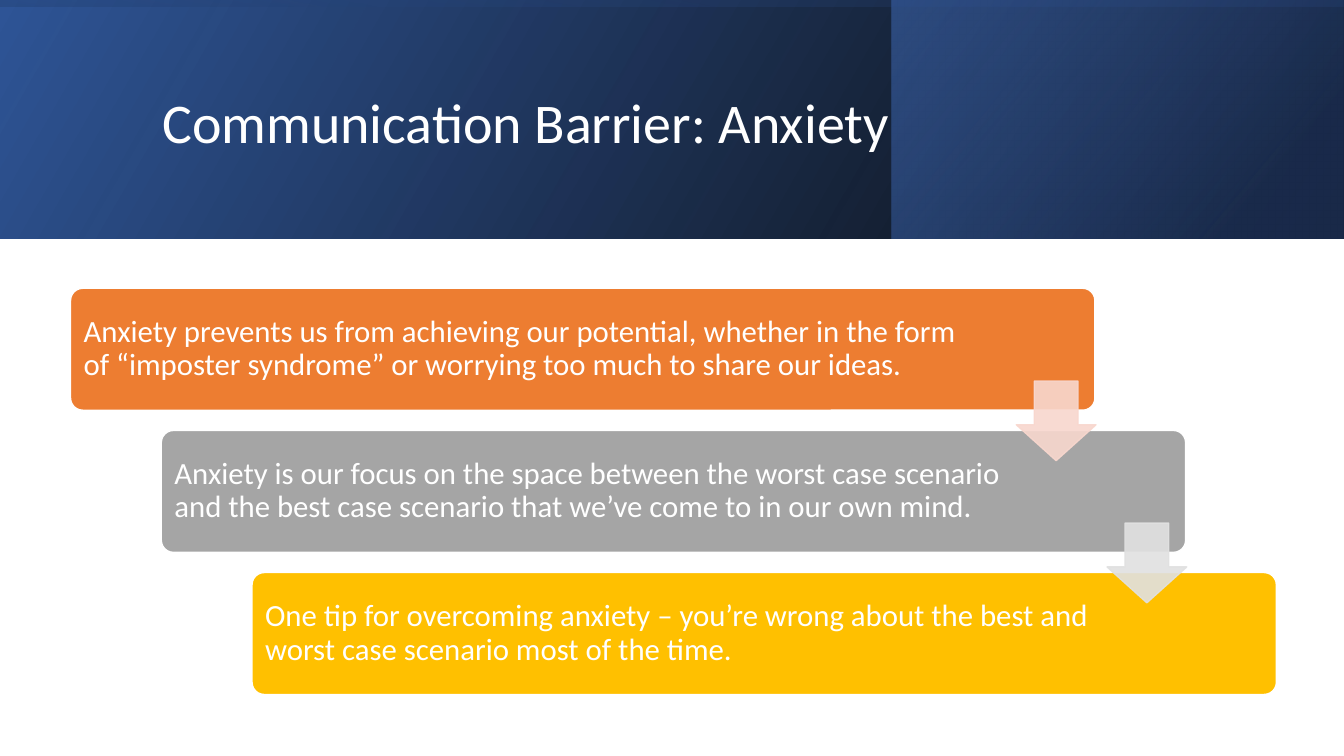
from pptx import Presentation
from pptx.dml.color import RGBColor
from pptx.enum.shapes import MSO_SHAPE
from pptx.enum.text import MSO_ANCHOR, MSO_AUTO_SIZE, PP_ALIGN
from pptx.oxml.ns import qn
from pptx.util import Inches, Pt
from lxml import etree

RECTANGLE, CARD, ARROW = MSO_SHAPE.RECTANGLE, MSO_SHAPE.ROUNDED_RECTANGLE, MSO_SHAPE.DOWN_ARROW
MIDDLE, LEFT, NO_FIT = MSO_ANCHOR.MIDDLE, PP_ALIGN.LEFT, MSO_AUTO_SIZE.NONE

WHITE = RGBColor(0xFF, 0xFF, 0xFF)
BLACK = RGBColor(0x00, 0x00, 0x00)
DEEP_BLUE = RGBColor(0x2F, 0x55, 0x97)
NAVY = RGBColor(0x20, 0x38, 0x64)
BLUE = RGBColor(0x44, 0x72, 0xC4)
ORANGE = RGBColor(0xED, 0x7D, 0x31)
GRAY = RGBColor(0xA5, 0xA5, 0xA5)
GOLD = RGBColor(0xFF, 0xC0, 0x00)
PALE_ORANGE = RGBColor(0xF8, 0xD7, 0xCE)
PALE_GRAY = RGBColor(0xE1, 0xE1, 0xE1)

SLIDE_W, SLIDE_H = 13.33, 7.5
BANNER_H = 2.37
CARD_W, CARD_H = 10.16, 1.21
CARD_X, CARD_Y = 0.7, 2.86
STEP_X, STEP_Y = 0.9, 1.41
ARROW_X, ARROW_Y, ARROW_SIZE = 10.08, 3.78, 0.79
TEXT_INSET = 0.04


def set_opacity(shape, percents):
    """Give the shape's colours, in document order, these opacities."""
    for color, percent in zip(shape._element.spPr.iter(qn("a:srgbClr")), percents):
        etree.SubElement(color, qn("a:alpha")).set("val", str(percent * 1000))


def format_text(frame, text, size):
    frame.text = text
    frame.word_wrap = True
    frame.auto_size = NO_FIT
    frame.vertical_anchor = MIDDLE
    paragraph = frame.paragraphs[0]
    paragraph.alignment = LEFT
    paragraph.line_spacing = 0.9
    font = paragraph.runs[0].font
    font.name, font.size, font.color.rgb = "Calibri", Pt(size), WHITE


prs = Presentation()
prs.slide_width, prs.slide_height = Inches(SLIDE_W), Inches(SLIDE_H)
slide = prs.slides.add_slide(prs.slide_layouts[5])
shapes = slide.shapes

# Banner: three mirrored gradients, the last one turned on its side.
# Each stop is position, colour, opacity; angles run clockwise.
turned_offset = (SLIDE_W - BANNER_H) / 2
banner_layers = [
    ((0, 0, SLIDE_W, BANNER_H), 0, 330, [(0, BLACK, 96), (1, DEEP_BLUE, 100)]),
    ((8.84, 0, 4.48, BANNER_H), 0, 320, [(0.19, NAVY, 68), (1, BLUE, 48)]),
    ((turned_offset, -turned_offset, BANNER_H, SLIDE_W), 270, 350,
     [(0.23, DEEP_BLUE, 16), (0.99, BLACK, 45)]),
]
for box, rotation, angle, stops in banner_layers:
    layer = shapes.add_shape(RECTANGLE, *map(Inches, box))
    layer.shadow.inherit = False
    layer.line.fill.background()
    layer.rotation = rotation
    layer._element.spPr.find(qn("a:xfrm")).set("flipH", "1")
    layer.fill.gradient()
    layer.fill.gradient_angle = 360 - angle
    for gradient_stop, (position, color, _) in zip(layer.fill.gradient_stops, stops):
        gradient_stop.position = position
        gradient_stop.color.rgb = color
    set_opacity(layer, [opacity for _, _, opacity in stops])

# Title, brought in front of the banner
title = shapes.title
title.left, title.top, title.width, title.height = map(Inches, (1.51, 0.38, 10.63, 1.72))
format_text(title.text_frame, "Communication Barrier: Anxiety", 40)
shapes._spTree.append(title._element)

# Staircase of cards
cards = [
    (ORANGE, 8.85, "Anxiety prevents us from achieving our potential, whether in the form "
                   "of “imposter syndrome” or worrying too much to share our ideas."),
    (GRAY, 8.4, "Anxiety is our focus on the space between the worst case scenario "
                "and the best case scenario that we’ve come to in our own mind."),
    (GOLD, 8.4, "One tip for overcoming anxiety – you’re wrong about the best and "
                "worst case scenario most of the time."),
]
for step, (color, text_w, message) in enumerate(cards):
    x, y = CARD_X + step * STEP_X, CARD_Y + step * STEP_Y
    card = shapes.add_shape(CARD, Inches(x), Inches(y), Inches(CARD_W), Inches(CARD_H))
    card.adjustments[0] = 0.1
    card.shadow.inherit = False
    card.fill.solid()
    card.fill.fore_color.rgb = color
    card.line.color.rgb = WHITE
    card.line.width = Pt(1)

    label = shapes.add_textbox(Inches(x + TEXT_INSET), Inches(y + TEXT_INSET),
                               Inches(text_w), Inches(CARD_H - 2 * TEXT_INSET))
    frame = label.text_frame
    frame.margin_left = frame.margin_right = Inches(0.09)
    frame.margin_top = frame.margin_bottom = Inches(0.09)
    format_text(frame, message, 22)

# Arrows leading from each card to the next
for step, color in enumerate([PALE_ORANGE, PALE_GRAY]):
    arrow = shapes.add_shape(ARROW, Inches(ARROW_X + step * STEP_X),
                             Inches(ARROW_Y + step * STEP_Y),
                             Inches(ARROW_SIZE), Inches(ARROW_SIZE))
    # Shaft width, then head length
    arrow.adjustments[0], arrow.adjustments[1] = 0.55, 0.45
    arrow.shadow.inherit = False
    arrow.fill.solid()
    arrow.fill.fore_color.rgb = color
    arrow.line.color.rgb = color
    arrow.line.width = Pt(1)
    set_opacity(arrow, [90, 90])

prs.save("out.pptx")
